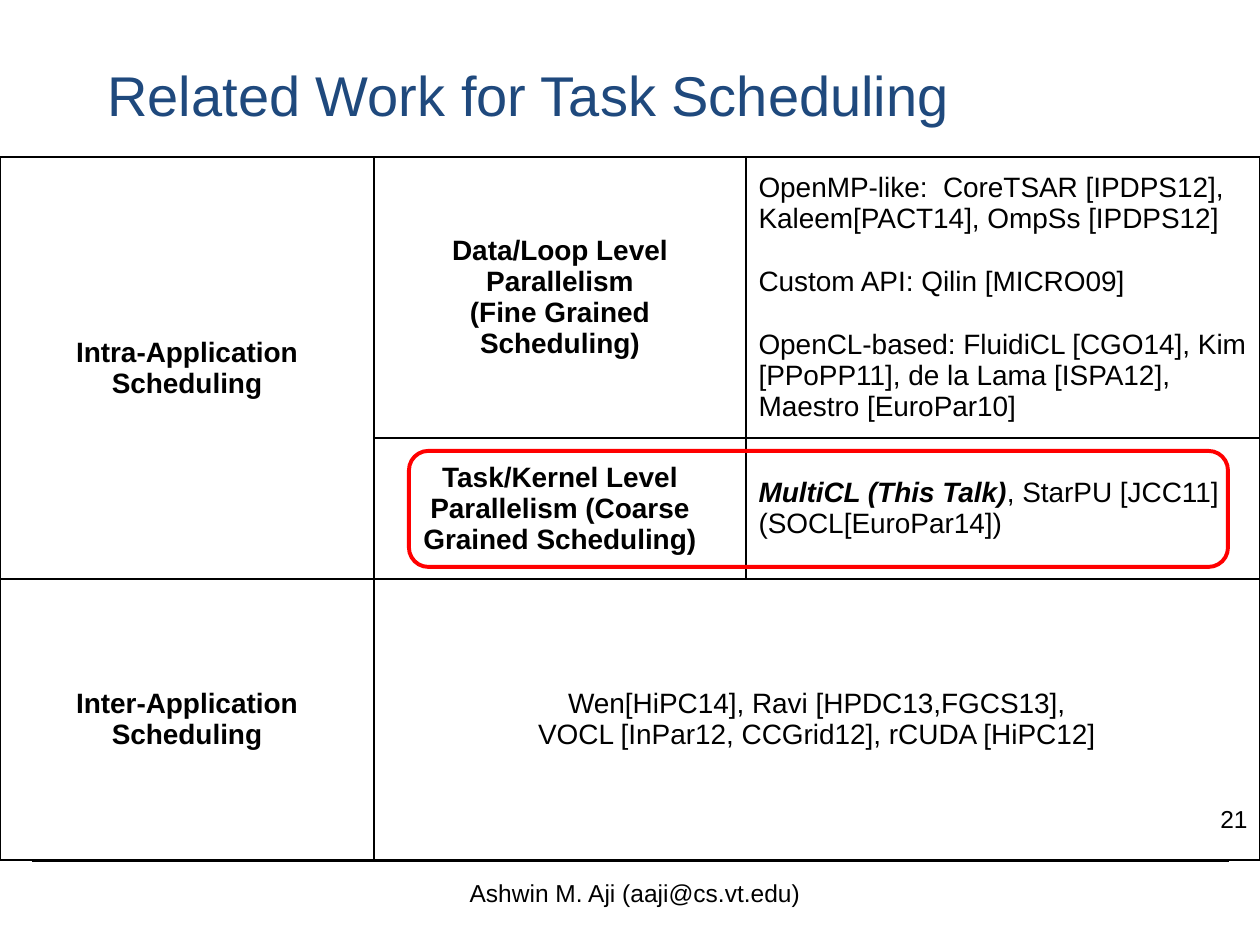
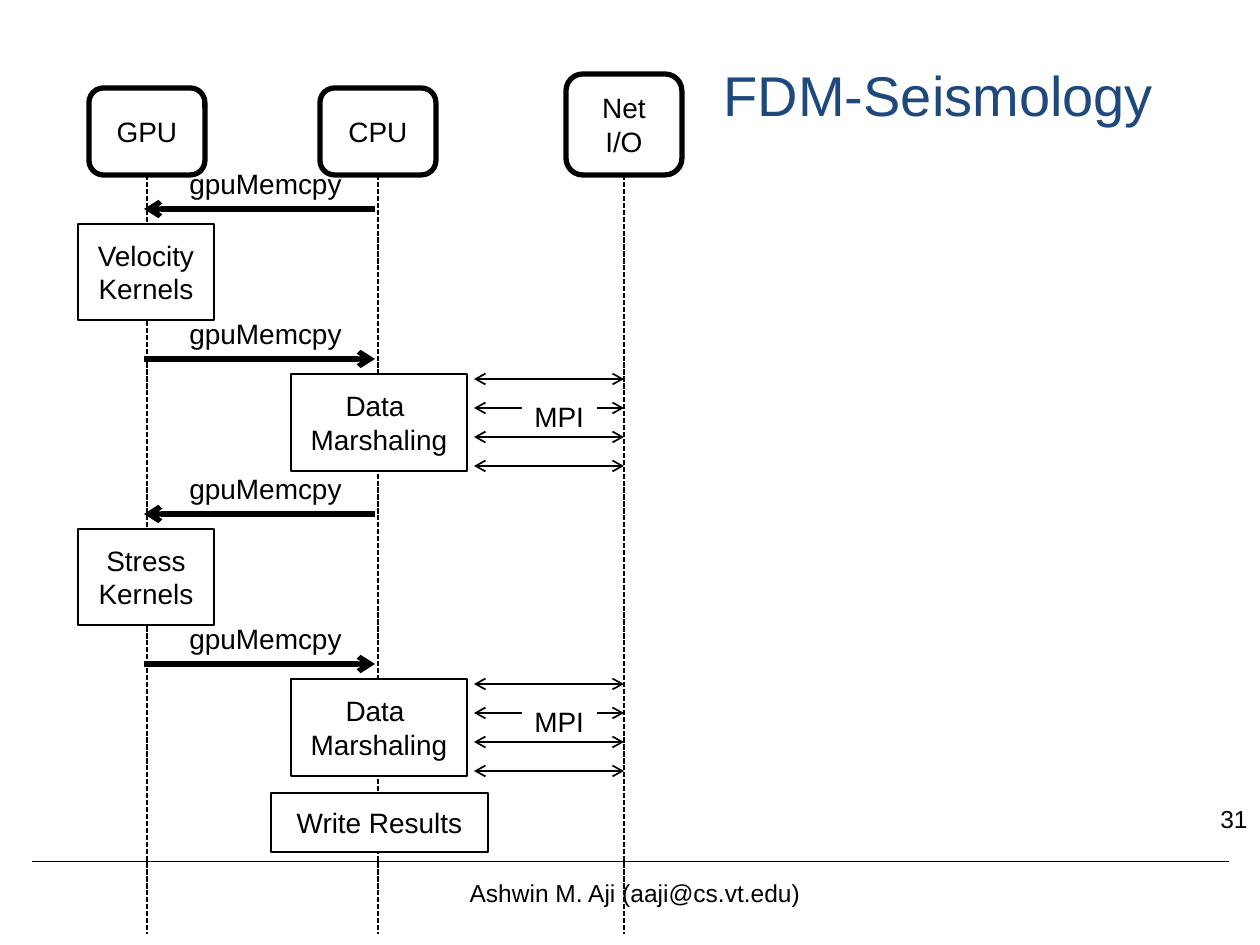
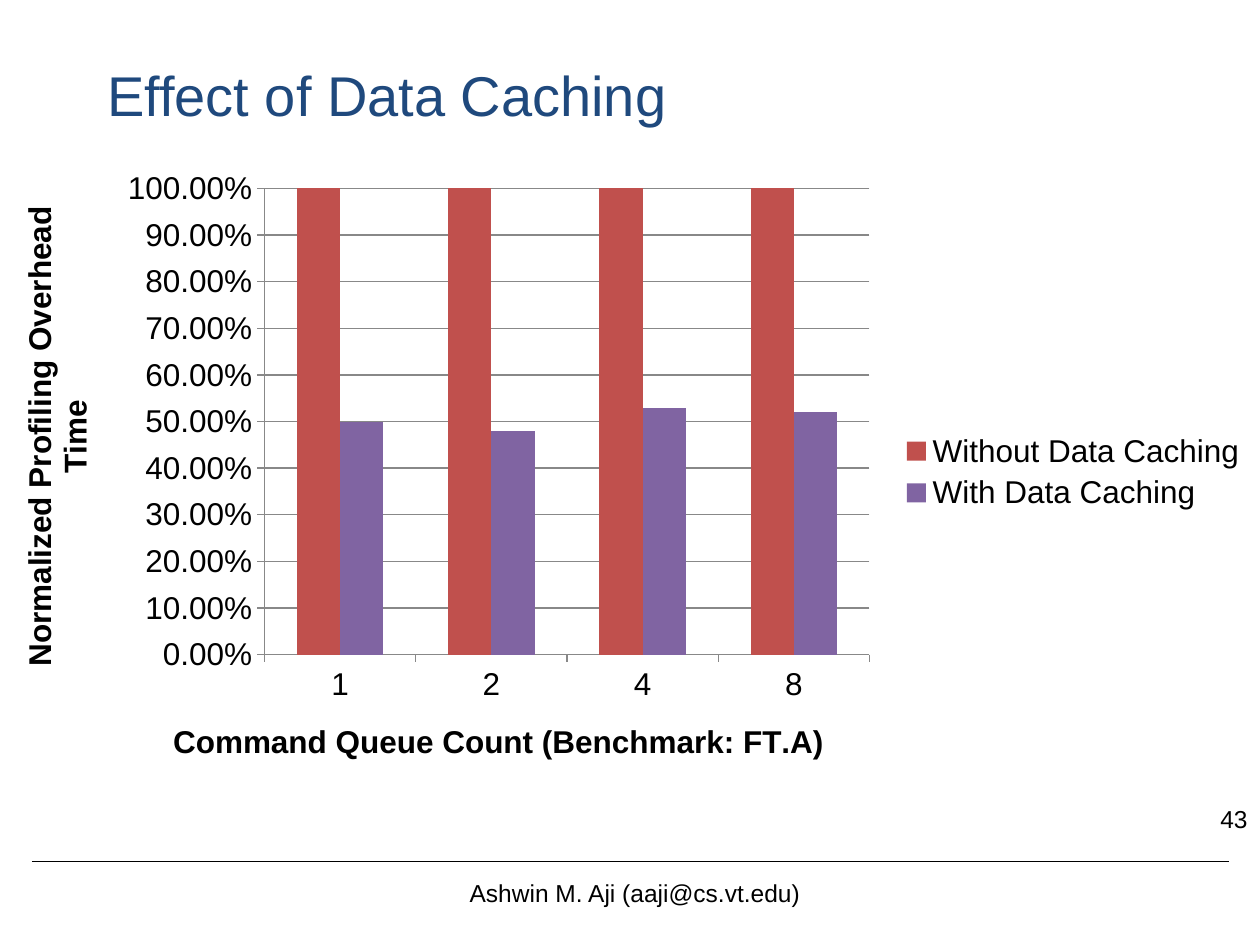
"""Build three slides on task scheduling: a table, a sequence diagram and a chart."""
from dataclasses import dataclass

from lxml.etree import SubElement
from pptx import Presentation
from pptx.chart.data import CategoryChartData
from pptx.dml.color import RGBColor
from pptx.enum.chart import XL_CHART_TYPE, XL_LEGEND_POSITION, XL_TICK_MARK
from pptx.enum.dml import MSO_LINE
from pptx.enum.shapes import MSO_CONNECTOR, MSO_SHAPE as SHAPE
from pptx.enum.text import MSO_ANCHOR as ANCHOR, PP_ALIGN as ALIGN
from pptx.oxml.ns import qn
from pptx.util import Pt

PX = 7257


@dataclass(frozen=True)
class Theme:
    font: str = "Arial"
    ink: RGBColor = RGBColor(0, 0, 0)
    paper: RGBColor = RGBColor(255, 255, 255)
    title: RGBColor = RGBColor.from_string("1F497D")
    accent: RGBColor = RGBColor(255, 0, 0)
    axis: RGBColor = RGBColor.from_string("888888")
    series: tuple = (RGBColor.from_string("C0504D"), RGBColor.from_string("8064A2"))
    title_size: int = Pt(32)
    chart_size: int = Pt(18)
    body_size: int = Pt(16)
    footer_size: int = Pt(14)


theme = Theme()


def add_box(page, kind, bounds, lines, size=theme.body_size, color=theme.ink,
            align=ALIGN.CENTER, anchor=ANCHOR.MIDDLE, border=0, wrap=True):
    bounds = [length * PX for length in bounds]
    if kind is None:
        box = page.shapes.add_textbox(*bounds)
    else:
        box = page.shapes.add_shape(kind, *bounds)
        box.shadow.inherit = False
        box.fill.solid()
        box.fill.fore_color.rgb = theme.paper
        if border:
            box.line.color.rgb = theme.ink
            box.line.width = Pt(border)
        else:
            box.line.fill.background()
    frame = box.text_frame
    frame.word_wrap = wrap
    frame.vertical_anchor = anchor
    for index, text in enumerate(lines):
        para = frame.add_paragraph() if index else frame.paragraphs[0]
        para.alignment = align
        span = para.add_run()
        span.text = text
        span.font.name, span.font.size = theme.font, size
        span.font.color.rgb = color
    return box


def add_line(page, start, end, width, heads=(), dash=None):
    points = [length * PX for length in (*start, *end)]
    line = page.shapes.add_connector(MSO_CONNECTOR.STRAIGHT, *points)
    line.line.color.rgb = theme.ink
    line.line.width = Pt(width)
    if dash:
        line.line.dash_style = dash
    properties = line.line._get_or_add_ln()
    for head in heads:
        SubElement(properties, qn(f"a:{head}"), type="arrow")
    SubElement(line._element.spPr, qn("a:effectLst"))
    return line


deck = Presentation()
deck.slide_width, deck.slide_height = 1260 * PX, 945 * PX

pages = []
for title, number, title_align in (
    ("Related Work for Task Scheduling", "21", ALIGN.LEFT),
    ("FDM-Seismology", "31", ALIGN.RIGHT),
    ("Effect of Data Caching", "43", ALIGN.LEFT),
):
    page = deck.slides.add_slide(deck.slide_layouts[6])
    add_line(page, (32, 861), (1229, 861), 0.25)
    add_box(page, None, (95, 42, 1071, 105), [title], theme.title_size, theme.title, title_align)
    add_box(page, None, (315, 872, 640, 42), ["Ashwin M. Aji (aaji@cs.vt.edu)"],
            theme.footer_size, anchor=ANCHOR.TOP)
    add_box(page, None, (1197, 798, 63, 63), [number], theme.footer_size,
            align=ALIGN.RIGHT, anchor=ANCHOR.TOP)
    pages.append(page)
related_page, sequence_page, caching_page = pages

table = related_page.shapes.add_table(3, 3, 0, 157 * PX, 1260 * PX, 703 * PX).table
table.first_row = table.horz_banding = False
for column, width in zip(table.columns, (374, 372, 514)):
    column.width = width * PX
for row, height in zip(table.rows, (281, 141, 281)):
    row.height = height * PX
for row in range(3):
    for column in range(3):
        cell = table.cell(row, column)
        cell.vertical_anchor = ANCHOR.MIDDLE
        properties = cell._tc.get_or_add_tcPr()
        for side in ("lnL", "lnR", "lnT", "lnB"):
            edge = SubElement(properties, qn(f"a:{side}"), w=str(Pt(1)))
            fill = SubElement(edge, qn("a:solidFill"))
            SubElement(fill, qn("a:srgbClr"), val=str(theme.ink))
        cell.fill.background()
table.cell(0, 0).merge(table.cell(1, 0))
table.cell(2, 1).merge(table.cell(2, 2))

plain, bold, bold_italic = (False, False), (True, False), (True, True)
for row, column, align, gap, paragraphs in (
    (0, 0, ALIGN.CENTER, 0, [[("Intra-Application Scheduling", bold)]]),
    (0, 1, ALIGN.CENTER, 0, [[("Data/Loop Level Parallelism", bold)],
                             [("(Fine Grained Scheduling)", bold)]]),
    (0, 2, ALIGN.LEFT, 18, [
        [("OpenMP-like:  CoreTSAR [IPDPS12], Kaleem[PACT14], OmpSs [IPDPS12]", plain)],
        [("Custom API: Qilin [MICRO09]", plain)],
        [("OpenCL-based: FluidiCL [CGO14], Kim [PPoPP11], de la Lama [ISPA12], "
          "Maestro [EuroPar10]", plain)]]),
    (1, 1, ALIGN.CENTER, 0,
     [[("Task/Kernel Level Parallelism (Coarse Grained Scheduling)", bold)]]),
    (1, 2, ALIGN.LEFT, 0, [[("MultiCL (This Talk)", bold_italic),
                            (", StarPU [JCC11] (SOCL[EuroPar14])", plain)]]),
    (2, 0, ALIGN.CENTER, 0, [[("Inter-Application Scheduling", bold)]]),
    (2, 1, ALIGN.CENTER, 0, [[("Wen[HiPC14], Ravi [HPDC13,FGCS13],", plain)],
                             [("VOCL [InPar12, CCGrid12], rCUDA [HiPC12]", plain)]]),
):
    frame = table.cell(row, column).text_frame
    for index, spans in enumerate(paragraphs):
        para = frame.add_paragraph() if index else frame.paragraphs[0]
        para.alignment = align
        if index and gap:
            para.space_before = Pt(gap)
        for text, style in spans:
            span = para.add_run()
            span.text = text
            span.font.name, span.font.size = theme.font, theme.body_size
            span.font.bold, span.font.italic = style
            span.font.color.rgb = theme.ink

highlight = add_box(related_page, SHAPE.ROUNDED_RECTANGLE, (409, 451, 819, 116), [], border=2.25)
highlight.fill.background()
highlight.line.color.rgb = theme.accent

for name, left, top in (("GPU", 89, 88), ("CPU", 320, 88), ("Net I/O", 566, 74)):
    header = add_box(sequence_page, SHAPE.ROUNDED_RECTANGLE, (left, top, 116, 175 - top),
                     [name], border=3)
    lifeline = add_line(sequence_page, (left + 58, 175), (left + 58, 934), 1,
                        dash=MSO_LINE.SQUARE_DOT)
    lifeline.begin_connect(header, 2)

for phase, kernel in enumerate(("Velocity Kernels", "Stress Kernels")):
    top = 209 + 305 * phase
    add_box(sequence_page, SHAPE.RECTANGLE, (78, top + 15, 136, 96), [kernel], border=1)
    for copy_y, head in ((top, "tailEnd"), (top + 150, "headEnd")):
        add_line(sequence_page, (375, copy_y), (144, copy_y), 3, [head])
        add_box(sequence_page, None, (176, copy_y - 49, 179, 43), ["gpuMemcpy"],
                anchor=ANCHOR.TOP, wrap=False)
    add_box(sequence_page, SHAPE.RECTANGLE, (291, top + 165, 176, 97),
            ["Data ", "Marshaling"], border=1)
    for step in range(4):
        message_y = top + 170 + 29 * step
        add_line(sequence_page, (624, message_y), (474, message_y), 1, ["headEnd", "tailEnd"])
    add_box(sequence_page, SHAPE.RECTANGLE, (522, top + 184, 75, 42), ["MPI"],
            align=ALIGN.LEFT, anchor=ANCHOR.TOP, wrap=False)
add_box(sequence_page, SHAPE.RECTANGLE, (271, 793, 217, 59), ["Write Results"], border=1)

data = CategoryChartData(number_format="0.00%")
data.categories = ["1", "2", "4", "8"]
data.add_series("Without Data Caching", (1, 1, 1, 1))
data.add_series("With Data Caching", (0.5, 0.48, 0.53, 0.52))
chart = caching_page.shapes.add_chart(
    XL_CHART_TYPE.COLUMN_CLUSTERED, 0, 157 * PX, 1260 * PX, 630 * PX, data).chart
chart.has_title = False
chart.font.name, chart.font.size = theme.font, theme.chart_size
chart.font.color.rgb = theme.ink
chart.has_legend = True
chart.legend.position = XL_LEGEND_POSITION.RIGHT
chart.legend.include_in_layout = False

plot = chart.plots[0]
plot.vary_by_categories = False
plot.gap_width, plot.overlap = 150, 0
for series, color in zip(plot.series, theme.series):
    series.format.fill.solid()
    series.format.fill.fore_color.rgb = color

for axis, title in ((chart.category_axis, "Command Queue Count (Benchmark: FT.A)"),
                    (chart.value_axis, "Normalized Profiling Overhead Time")):
    span = axis.axis_title.text_frame.paragraphs[0].add_run()
    span.text = title
    span.font.name, span.font.size, span.font.bold = theme.font, theme.chart_size, True
    span.font.color.rgb = theme.ink
    axis.major_tick_mark = XL_TICK_MARK.OUTSIDE
    axis.format.line.color.rgb = theme.axis
    axis.format.line.width = Pt(0.75)
chart.value_axis.maximum_scale = 1
chart.value_axis.tick_labels.number_format = "0.00%"
chart.value_axis.tick_labels.number_format_is_linked = False
gridlines = chart.value_axis.major_gridlines.format.line
gridlines.color.rgb = theme.axis
gridlines.width = Pt(0.75)

plot_area = chart._chartSpace.chart.plotArea
for old_layout in plot_area.findall(qn("c:layout")):
    plot_area.remove(old_layout)
layout = SubElement(plot_area, qn("c:layout"))
plot_area.insert(0, layout)
manual = SubElement(layout, qn("c:manualLayout"))
for tag, value in (("layoutTarget", "inner"), ("xMode", "edge"), ("yMode", "edge"),
                   ("x", "0.21"), ("y", "0.05"), ("w", "0.48"), ("h", "0.74")):
    SubElement(manual, qn(f"c:{tag}"), val=value)

deck.save("out.pptx")
